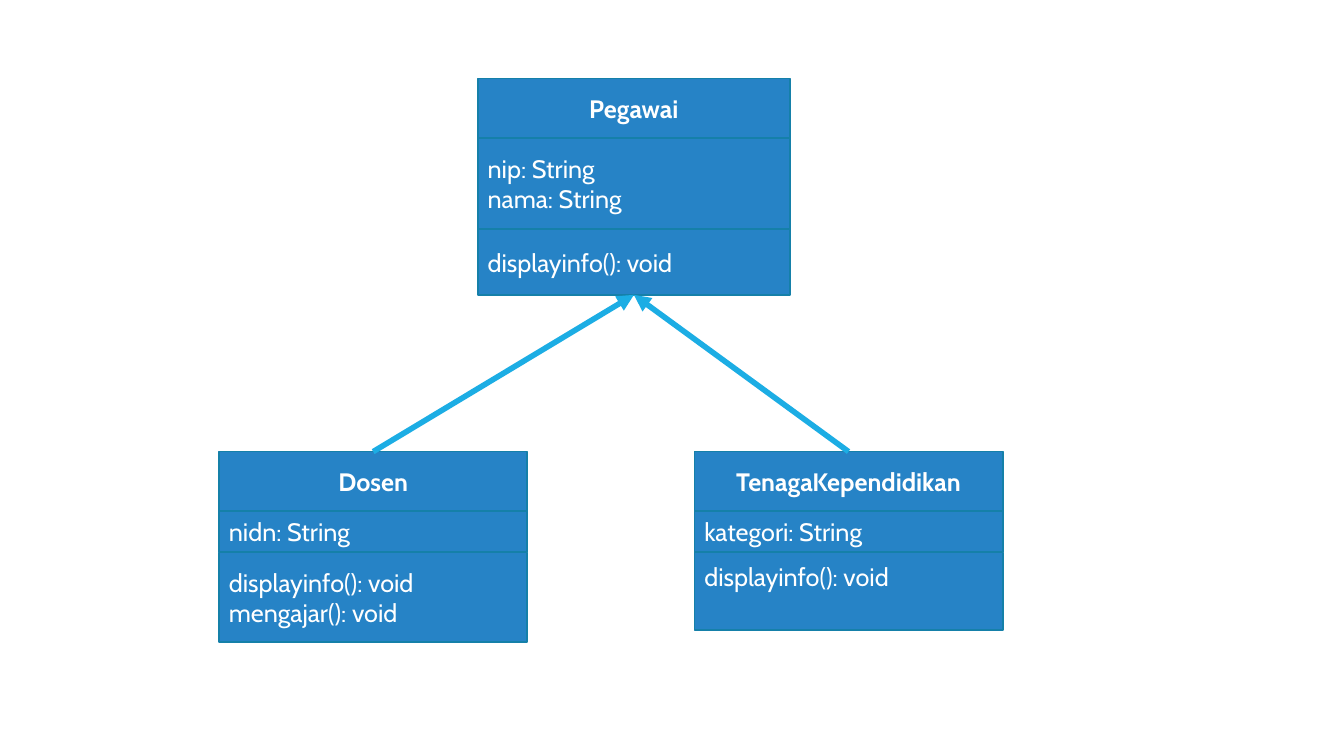
"""Build a UML class diagram slide: Pegawai with its subclasses Dosen and TenagaKependidikan."""
from lxml import etree
from pptx import Presentation, util as u
from pptx.dml.color import RGBColor
from pptx.enum import shapes, text
from pptx.oxml import ns

THEME = {
    "fill": RGBColor.from_string("2683C6"),
    "border": RGBColor.from_string("1580A9"),
    "arrow": RGBColor.from_string("1CADE4"),
    "text": RGBColor.from_string("FFFFFF"),
    "font": {"name": "Cabin", "size": u.Pt(18)},
    "border_width": u.Pt(1.25),
    "arrow_width": u.Pt(4),
}
FRAME = {"word_wrap": True, "vertical_anchor": text.MSO_ANCHOR.MIDDLE}
LINE_HEIGHT = 0.76
INSET = 0.13

CLASSES = [
    {"left": 12.04, "top": 1.98, "width": 7.87, "rows": [
        (1.5, ["Pegawai"]),
        (2.3, ["nip: String", "nama: String"]),
        (1.65, ["displayinfo(): void"])]},
    {"left": 5.52, "top": 11.38, "width": 7.77, "rows": [
        (1.49, ["Dosen"]),
        (1.05, ["nidn: String"]),
        (2.26, ["displayinfo(): void", "mengajar(): void"])]},
    {"left": 17.5, "top": 11.38, "width": 7.77, "rows": [
        (1.49, ["TenagaKependidikan"]),
        (1.05, ["kategori: String"]),
        (1.96, ["displayinfo(): void"])]},
]


def set_format(target, values):
    for name, value in values.items():
        setattr(target, name, value)


def add_row(s, left, top, width, height, lines, is_title):
    sp = s.shapes.add_shape(shapes.MSO_SHAPE.RECTANGLE,
                            u.Cm(left), u.Cm(top), u.Cm(width), u.Cm(height))
    sp.shadow.inherit = False
    sp.fill.solid()
    sp.fill.fore_color.rgb = THEME["fill"]
    sp.line.color.rgb = THEME["border"]
    sp.line.width = THEME["border_width"]
    tf = sp.text_frame
    set_format(tf, FRAME)
    for i, line in enumerate(lines):
        p = tf.add_paragraph() if i else tf.paragraphs[0]
        p.alignment = text.PP_ALIGN.CENTER if is_title else text.PP_ALIGN.LEFT
        r = p.add_run()
        r.text = line
        set_format(r.font, {**THEME["font"], "bold": is_title})
        r.font.color.rgb = THEME["text"]
    return sp


prs = Presentation()
set_format(prs, {"slide_width": u.Cm(33.87), "slide_height": u.Cm(19.05)})
s = prs.slides.add_slide(prs.slide_layouts[6])

for box in CLASSES:
    top = box["top"]
    for i, (height, lines) in enumerate(box["rows"]):
        sp = add_row(s, box["left"], top, box["width"], height, lines, i == 0)
        top += height
    box["bottom"] = top
    box["center"] = box["left"] + box["width"] / 2

sp.text_frame.margin_bottom = u.Cm(INSET + LINE_HEIGHT)

parent, *children = CLASSES
for child in children:
    arrow = s.shapes.add_connector(
        shapes.MSO_CONNECTOR.STRAIGHT,
        u.Cm(child["center"]), u.Cm(child["top"]),
        u.Cm(parent["center"]), u.Cm(parent["bottom"]))
    arrow.line.color.rgb = THEME["arrow"]
    arrow.line.width = THEME["arrow_width"]
    etree.SubElement(arrow.line._get_or_add_ln(), ns.qn("a:tailEnd"), type="triangle")
    etree.SubElement(arrow._element.spPr, ns.qn("a:effectLst"))

prs.save("out.pptx")
